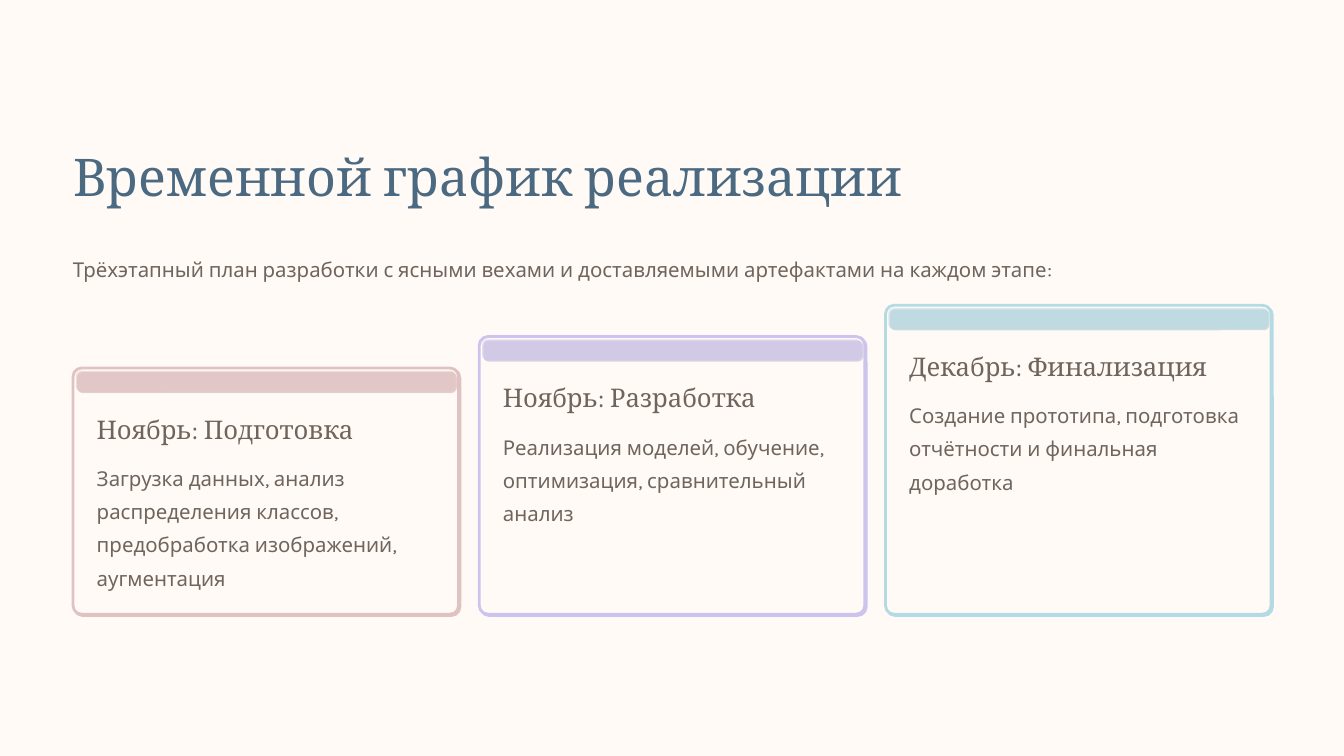
from lxml.etree import SubElement
from pptx import Presentation
from pptx.dml.color import RGBColor
from pptx.enum.shapes import MSO_SHAPE
from pptx.enum.text import MSO_ANCHOR, MSO_AUTO_SIZE, PP_ALIGN
from pptx.oxml.ns import qn
from pptx.util import Pt

SERIF, SANS = "Cambria", "Karla"
PAPER, TITLE_BLUE, INK = "FFFAF6", "4B6981", "6F655D"


def color(hex_text):
    return RGBColor.from_string(hex_text)


def write_text(box, text, font=SANS, size=17.5, ink=INK, leading=28.5, wrap=True):
    frame = box.text_frame
    frame.margin_left = frame.margin_right = frame.margin_top = frame.margin_bottom = 0
    frame.auto_size = MSO_AUTO_SIZE.NONE
    frame.vertical_anchor = MSO_ANCHOR.TOP
    frame.word_wrap = wrap
    para = frame.paragraphs[0]
    para.alignment = PP_ALIGN.LEFT
    para.line_spacing = Pt(leading)
    para.space_before = Pt(0)
    span = para.add_run()
    span.text = text
    span.font.name = font
    span.font.size = Pt(size)
    span.font.color.rgb = color(ink)


class SlideBuilder:
    """Holds the current slide and draws its elements; lengths are in points."""

    def __init__(self, deck):
        self.page = deck.slides.add_slide(deck.slide_layouts[5])
        self.page.background.fill.solid()
        self.page.background.fill.fore_color.rgb = color(PAPER)

    def title(self, text, left, top, width, height):
        box = self.page.shapes.title
        box.left, box.top, box.width, box.height = map(Pt, (left, top, width, height))
        write_text(box, text, font=SERIF, size=44.5, ink=TITLE_BLUE, leading=55.5)

    def text(self, text, left, top, width, height, **style):
        box = self.page.shapes.add_textbox(Pt(left), Pt(top), Pt(width), Pt(height))
        write_text(box, text, **style)

    def rounded(self, left, top, width, height, radius, fill, shadow, line=None, alpha=None):
        box = self.page.shapes.add_shape(
            MSO_SHAPE.ROUNDED_RECTANGLE, Pt(left), Pt(top), Pt(width), Pt(height))
        box.adjustments[0] = radius / height
        box.fill.solid()
        box.fill.fore_color.rgb = color(fill)
        if alpha:
            fill_color = box.fill._xPr.find(qn("a:solidFill"))[0]
            SubElement(fill_color, qn("a:alpha"), val=str(alpha * 1000))
        if line:
            box.line.color.rgb = color(line)
            box.line.width = Pt(2.4)
        else:
            box.line.fill.background()
        self.hard_shadow(box, shadow)

    def hard_shadow(self, box, shade):
        box.shadow.inherit = False
        effects = box._element.spPr.find(qn("a:effectLst"))
        shadow = SubElement(effects, qn("a:outerShdw"), blurRad="0", dist=str(Pt(1.6)),
                            dir=str(45 * 60000), algn="tl", rotWithShape="0")
        SubElement(shadow, qn("a:srgbClr"), val=shade)

    def card(self, left, top, bottom, tint, bar_shadow, heading, heading_width, body, lines):
        self.rounded(left, top, 330.5, bottom - top, 7.4, PAPER, tint, line=tint)
        self.rounded(left + 2.4, top + 2.4, 325.5, 18, 4.66, tint, bar_shadow, alpha=50)
        self.text(heading, left + 20.3, top + 38.1, heading_width, 28,
                  font=SERIF, size=22, leading=27.5, wrap=False)
        self.text(body, left + 20.3, top + 76.6, 290, lines * 28.6)


def main():
    deck = Presentation()
    deck.slide_width, deck.slide_height = Pt(1152), Pt(648)
    slide = SlideBuilder(deck)

    # Heading and introduction
    left = 62.6
    slide.title("Временной график реализации", left, 121.7, 730, 56)
    slide.text("Трёхэтапный план разработки с ясными вехами и доставляемыми артефактами "
               "на каждом этапе:", left, 213.1, 1026.7, 28.6, wrap=False)

    # Stage cards rise by equal steps from a shared bottom edge
    stages = [
        ("E1C2C2", "C7A8A8", "Ноябрь: Подготовка", 223.2,
         "Загрузка данных, анализ распределения классов, предобработка изображений, "
         "аугментация", 4),
        ("CCC4EC", "B2AAD2", "Ноябрь: Разработка", 223.2,
         "Реализация моделей, обучение, оптимизация, сравнительный анализ", 3),
        ("B4DAE4", "9AC0CA", "Декабрь: Финализация", 258,
         "Создание прототипа, подготовка отчётности и финальная доработка", 3),
    ]
    for index, stage in enumerate(stages):
        slide.card(left + index * 348.2, 315.4 - index * 26.9, 526.5, *stage)

    deck.save("out.pptx")


if __name__ == "__main__":
    main()
